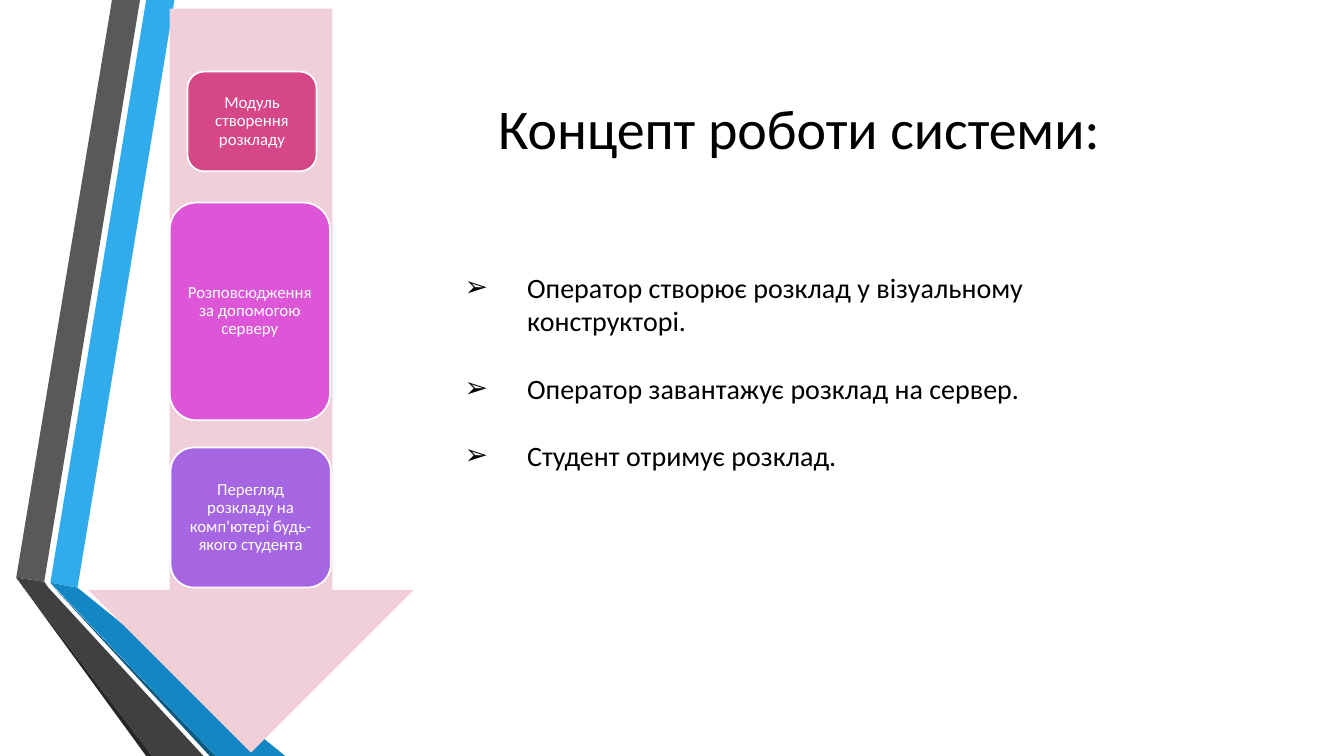
from dataclasses import dataclass

from lxml.etree import SubElement
from pptx import Presentation
from pptx.dml.color import RGBColor
from pptx.enum.shapes import MSO_SHAPE as Preset
from pptx.enum.text import MSO_ANCHOR as Anchor, MSO_AUTO_SIZE as AutoSize, PP_ALIGN as Align
from pptx.oxml.ns import qn
from pptx.shapes.autoshape import Shape
from pptx.slide import Slide
from pptx.text.text import _Paragraph as Paragraph
from pptx.util import Pt

FONT = "Calibri"
BLACK = "000000"
WHITE = "FFFFFF"
INDENT = 44.64


@dataclass(frozen=True)
class Ribbon:
    color: str
    corners: tuple[tuple[float, float], ...]


@dataclass(frozen=True)
class Stage:
    text: str
    color: str
    left: float
    top: float
    width: float
    height: float


RIBBONS = (
    Ribbon("30ACEC", ((36, 416.2), (55.4, 419.8), (124.6, 0), (104.4, 0))),
    Ribbon("595959", ((100, 0), (80, 0), (11.6, 412.6), (31.6, 415.5))),
    Ribbon("262626", ((11.6, 412.6), (104.4, 540), (108.8, 540))),
    Ribbon("0C5A82", ((36, 416.9), (149.8, 540), (154, 540))),
    Ribbon("1287C3", ((36, 416.2), (154, 540), (203.8, 540), (55.4, 419.8))),
    Ribbon("404040", ((145.4, 540), (34.6, 419.8), (31.6, 415.5), (11.6, 412.6), (108.8, 540))),
)

STAGES = (
    Stage("Модуль створення розкладу", "D64787", 133.9, 51.1, 92.2, 71.3),
    Stage("Розповсюдження за допомогою серверу", "DC56D7", 121.2, 144.7, 114.5, 155.5),
    Stage("Перегляд розкладу на комп'ютері будь-якого студента", "A666E1", 121.8, 319.7, 114.5, 100),
)

STEPS = (
    "Оператор створює розклад у візуальному конструкторі.",
    "Оператор завантажує розклад на сервер.",
    "Студент отримує розклад.",
)


def rgb(color: str) -> RGBColor:
    return RGBColor.from_string(color)


def paint(shape: Shape, color: str) -> None:
    shape.shadow.inherit = False
    shape.fill.solid()
    shape.fill.fore_color.rgb = rgb(color)
    shape.line.fill.background()


def place(shape: Shape, left: float, top: float, width: float, height: float) -> None:
    shape.left, shape.top = Pt(left), Pt(top)
    shape.width, shape.height = Pt(width), Pt(height)


def add_span(para: Paragraph, text: str, size: float, color: str) -> None:
    span = para.add_run()
    span.text = text
    span.font.name = FONT
    span.font.size = Pt(size)
    span.font.color.rgb = rgb(color)


def add_bullet(para: Paragraph) -> None:
    properties = para._p.get_or_add_pPr()
    properties.set("marL", str(Pt(INDENT)))
    properties.set("indent", str(-Pt(INDENT)))
    SubElement(properties, qn("a:buFont")).set("typeface", "Arial")
    SubElement(properties, qn("a:buChar")).set("char", "➢")


def draw_ribbon(page: Slide, ribbon: Ribbon) -> None:
    first, *others = [(Pt(x), Pt(y)) for x, y in ribbon.corners]
    outline = page.shapes.build_freeform(*first)
    outline.add_line_segments(others, close=True)
    paint(outline.convert_to_shape(), ribbon.color)


def draw_arrow(page: Slide) -> None:
    arrow = page.shapes.add_shape(Preset.DOWN_ARROW, Pt(63), Pt(6.2), Pt(232.6), Pt(531.4))
    paint(arrow, "F0CFD9")


def draw_stage(page: Slide, stage: Stage) -> None:
    box = page.shapes.add_shape(
        Preset.ROUNDED_RECTANGLE, Pt(stage.left), Pt(stage.top), Pt(stage.width), Pt(stage.height)
    )
    paint(box, stage.color)
    box.line.color.rgb = rgb(WHITE)
    box.line.width = Pt(1.25)
    frame = box.text_frame
    frame.word_wrap = True
    frame.vertical_anchor = Anchor.MIDDLE
    frame.margin_left = frame.margin_right = Pt(3.6)
    frame.margin_top = frame.margin_bottom = Pt(3.6)
    para = frame.paragraphs[0]
    para.alignment = Align.CENTER
    para.line_spacing = 0.9
    add_span(para, stage.text, 12, WHITE)


def fill_title(title: Shape) -> None:
    place(title, 301, 36, 539.3, 110.2)
    title.text_frame.vertical_anchor = Anchor.MIDDLE
    para = title.text_frame.paragraphs[0]
    para.alignment = Align.CENTER
    add_span(para, "Концепт роботи системи:", 40, BLACK)


def fill_steps(body: Shape) -> None:
    place(body, 324.7, 189.4, 510.5, 333.4)
    frame = body.text_frame
    frame.auto_size = AutoSize.NONE
    frame.vertical_anchor = Anchor.TOP
    for number, step in enumerate(STEPS):
        para = frame.add_paragraph() if number else frame.paragraphs[0]
        para.space_before = Pt(24 if number else 0)
        add_bullet(para)
        add_span(para, step, 20, BLACK)


def main() -> None:
    deck = Presentation()
    deck.slide_width, deck.slide_height = Pt(960), Pt(540)
    page = deck.slides.add_slide(deck.slide_layouts[1])
    for ribbon in RIBBONS:
        draw_ribbon(page, ribbon)
    draw_arrow(page)
    for stage in STAGES:
        draw_stage(page, stage)
    fill_title(page.shapes.title)
    fill_steps(page.placeholders[1])
    deck.save("out.pptx")


if __name__ == "__main__":
    main()
